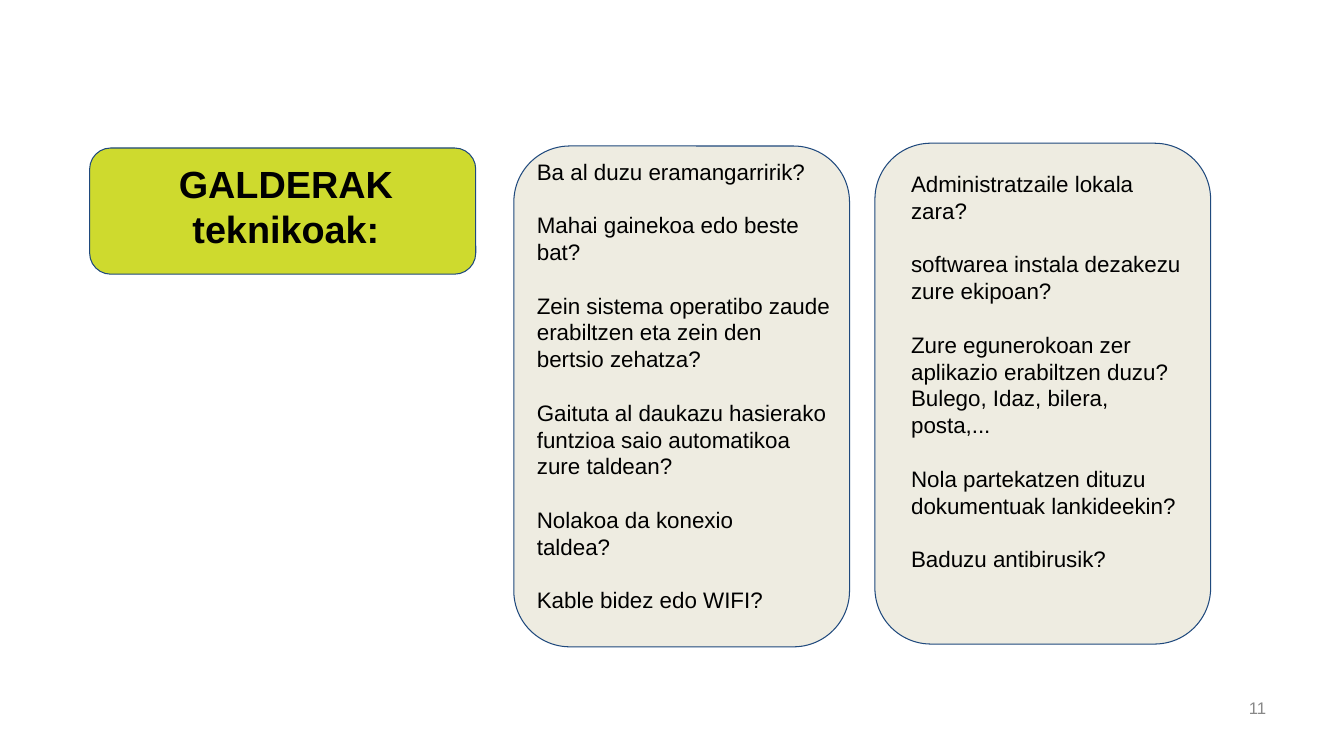
from dataclasses import dataclass

from pptx import Presentation
from pptx import util as u
from pptx.dml import color
from pptx.enum import shapes, text


@dataclass(frozen=True)
class Theme:
    font: str = "Arial"
    ink: str = "000000"
    muted: str = "888888"
    outline: str = "1F497D"
    sand: str = "EEECE1"
    lime: str = "CEDA2E"
    title_size: float = 27
    body_size: float = 16
    number_size: float = 12
    title_pitch: float = 32
    body_pitch: float = 19.15


theme = Theme()


def place(shape, left, top, width, height):
    shape.left, shape.top = u.Cm(left), u.Cm(top)
    shape.width, shape.height = u.Cm(width), u.Cm(height)


def format_text(frame, size, ink, align, anchor, inset, bold=False, pitch=None, gap=0):
    frame.word_wrap = True
    frame.auto_size = text.MSO_AUTO_SIZE.NONE
    frame.vertical_anchor = anchor
    frame.margin_left = frame.margin_right = u.Cm(0.25)
    frame.margin_top = frame.margin_bottom = u.Cm(inset)
    for paragraph in frame.paragraphs:
        paragraph.alignment = align
        paragraph.space_before = u.Pt(0)
        paragraph.space_after = u.Pt(gap)
        if pitch:
            paragraph.line_spacing = u.Pt(pitch)
        for run in paragraph.runs:
            run.font.name = theme.font
            run.font.size = u.Pt(size)
            run.font.bold = bold
            run.font.color.rgb = color.RGBColor.from_string(ink)


presentation = Presentation()
presentation.slide_width = u.Cm(33.87)
presentation.slide_height = u.Cm(19.05)
slide = presentation.slides.add_slide(presentation.slide_layouts.get_by_name("Two Content"))

cards = [
    (22.05, 3.61, 8.46, 12.62, theme.sand),
    (12.95, 3.68, 8.46, 12.62, theme.sand),
    (2.26, 3.73, 9.73, 3.18, theme.lime),
]
for position, (left, top, width, height, fill) in enumerate(cards, start=2):
    card = slide.shapes.add_shape(
        shapes.MSO_SHAPE.ROUNDED_RECTANGLE,
        u.Cm(left), u.Cm(top), u.Cm(width), u.Cm(height),
    )
    card.adjustments[0] = 0.167
    card.shadow.inherit = False
    card.fill.solid()
    card.fill.fore_color.rgb = color.RGBColor.from_string(fill)
    card.line.color.rgb = color.RGBColor.from_string(theme.outline)
    card.line.width = u.Pt(0.75)
    slide.shapes._spTree.insert(position, card._element)

title = slide.shapes.title
place(title, 2.34, 4, 9.73, 2.4)
title.text_frame.text = "GALDERAK\nteknikoak:"
format_text(
    title.text_frame, theme.title_size, theme.ink, text.PP_ALIGN.CENTER,
    text.MSO_ANCHOR.MIDDLE, 0.13, bold=True, pitch=theme.title_pitch,
)

question_lists = [
    (1, (13.28, 3.73, 8.1, 12.4), [
        "Ba al duzu eramangarririk?",
        "Mahai gainekoa edo beste bat?",
        "Zein sistema operatibo zaude\verabiltzen eta zein den\vbertsio zehatza?",
        "Gaituta al daukazu hasierako funtzioa saio automatikoa\vzure taldean?",
        "Nolakoa da konexio\vtaldea?",
        "Kable bidez edo WIFI?",
    ]),
    (2, (22.71, 4.04, 7.44, 12.04), [
        "Administratzaile lokala zara?",
        "softwarea instala dezakezu zure ekipoan?",
        "Zure egunerokoan zer aplikazio erabiltzen duzu?\vBulego, Idaz, bilera,\vposta,...",
        "Nola partekatzen dituzu\vdokumentuak lankideekin?",
        "Baduzu antibirusik?",
    ]),
]
for index, box, questions in question_lists:
    body = slide.placeholders[index]
    place(body, *box)
    body.text_frame.text = "\n".join(questions)
    format_text(
        body.text_frame, theme.body_size, theme.ink, text.PP_ALIGN.LEFT,
        text.MSO_ANCHOR.TOP, 0.25, pitch=theme.body_pitch, gap=theme.body_pitch,
    )
    for paragraph in body.text_frame.paragraphs:
        properties = paragraph._p.get_or_add_pPr()
        properties.set("marL", "0")
        properties.set("indent", "0")
        bullet = properties.makeelement(
            "{http://schemas.openxmlformats.org/drawingml/2006/main}buNone", {}
        )
        properties.append(bullet)

page_number = slide.shapes.add_textbox(u.Cm(24.26), u.Cm(17.32), u.Cm(7.9), u.Cm(1.02))
page_number.text_frame.text = "11"
format_text(
    page_number.text_frame, theme.number_size, theme.muted, text.PP_ALIGN.RIGHT,
    text.MSO_ANCHOR.MIDDLE, 0.13,
)

presentation.save("out.pptx")
